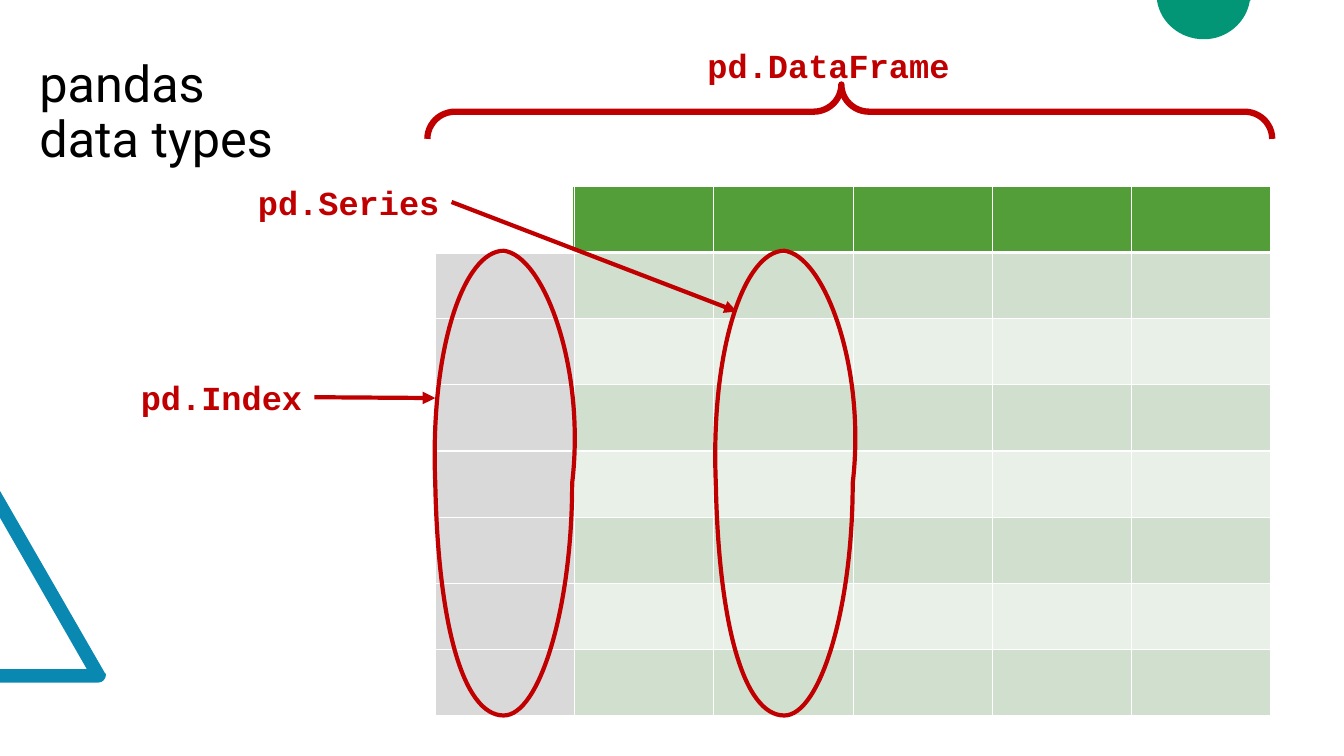
from lxml.etree import SubElement
from pptx import Presentation
from pptx.dml.color import RGBColor
from pptx.enum.shapes import MSO_CONNECTOR, MSO_SHAPE
from pptx.enum.text import MSO_ANCHOR, MSO_AUTO_SIZE, PP_ALIGN
from pptx.oxml.ns import qn
from pptx.util import Cm, Pt

BLACK = RGBColor(0x00, 0x00, 0x00)
WHITE = RGBColor(0xFF, 0xFF, 0xFF)
RED = RGBColor(0xC0, 0x00, 0x00)
BLUE = RGBColor(0x09, 0x89, 0xB1)
TEAL = RGBColor(0x02, 0x96, 0x76)
HEADER_GREEN = RGBColor(0x54, 0x9E, 0x39)
INDEX_GREY = RGBColor(0xD9, 0xD9, 0xD9)
BANDS = (RGBColor(0xE9, 0xF0, 0xE8), RGBColor(0xD1, 0xDF, 0xCE))

ROWS, COLUMNS = 8, 6
TABLE_WIDTH, TABLE_HEIGHT = 21.06, 13.33

TRIANGLE = [
    [(0, 1)], [(0, 0.93)], [(0.82, 0.93)], [(0, 0.14)], [(0, 0)], [(0.99, 0.95)],
    [(1, 0.95), (1, 0.96), (1, 0.96)],
    [(1, 0.98), (0.97, 1), (0.93, 1)],
]
DISC = [
    [(0, 0)], [(1, 0)], [(0.99, 0.03)],
    [(0.95, 0.59), (0.74, 1), (0.5, 1)],
    [(0.25, 1), (0.04, 0.59), (0, 0.03)],
]
RING = [
    [(0, 0.5)],
    [(-0.04, 0.21), (0.21, 0), (0.5, 0)],
    [(0.79, 0.01), (1.1, 0.25), (1, 0.5)],
    [(1, 0.77), (0.76, 1), (0.5, 1)],
    [(0.2, 1), (0.02, 0.8), (0, 0.5)],
]


def add_outline(slide, segments, left, top, width, height):
    corners = [segment[-1] for segment in segments]
    points = [(Cm(left + x * width), Cm(top + y * height)) for x, y in corners]
    builder = slide.shapes.build_freeform(*points[0])
    builder.add_line_segments(points[1:], close=True)
    outline = builder.convert_to_shape()
    outline.shadow.inherit = False
    edges = list(outline._element.iter(qn("a:lnTo")))
    for edge, segment in zip(edges, segments[1:]):
        if len(segment) == 3:
            edge.tag = qn("a:cubicBezTo")
            for position, (x, y) in enumerate(segment[:2]):
                control = SubElement(
                    edge, qn("a:pt"), x=str(Cm(x * width)), y=str(Cm(y * height)))
                edge.insert(position, control)
    return outline


def add_decoration(slide, segments, color, left, top, width, height):
    decoration = add_outline(slide, segments, left, top, width, height)
    decoration.fill.solid()
    decoration.fill.fore_color.rgb = color
    decoration.line.fill.background()


def add_ring(slide, left, top, width, height):
    ring = add_outline(slide, RING, left, top, width, height)
    ring.fill.background()
    ring.line.color.rgb = RED
    ring.line.width = Pt(3)


def place_title(slide, left, top, width, height):
    title = slide.shapes.title
    title.left, title.top, title.width, title.height = map(Cm, (left, top, width, height))
    frame = title.text_frame
    frame.text = "pandas data types"
    frame.word_wrap = True
    frame.auto_size = MSO_AUTO_SIZE.NONE
    frame.vertical_anchor = MSO_ANCHOR.MIDDLE
    paragraph = frame.paragraphs[0]
    paragraph.alignment = PP_ALIGN.LEFT
    paragraph.line_spacing = 0.9
    font = paragraph.runs[0].font
    font.name, font.size = "Roboto", Pt(36)
    font.color.rgb = BLACK


def add_borders(cell, top_width, bottom_width):
    properties = cell._tc.get_or_add_tcPr()
    for side, width in (("L", 1), ("R", 1), ("T", top_width), ("B", bottom_width)):
        border = SubElement(properties, qn(f"a:ln{side}"), w=str(Pt(width)))
        fill = SubElement(border, qn("a:solidFill"))
        SubElement(fill, qn("a:srgbClr"), val=str(WHITE))


def cell_color(row, column):
    if row == 0:
        return HEADER_GREEN
    return INDEX_GREY if column == 0 else BANDS[row % 2]


def add_data_frame(slide, left, top):
    grid = slide.shapes.add_table(
        ROWS, COLUMNS, Cm(left), Cm(top), Cm(TABLE_WIDTH), Cm(TABLE_HEIGHT)).table
    for column in grid.columns:
        column.width = Cm(TABLE_WIDTH / COLUMNS)
    for row in grid.rows:
        row.height = Cm(TABLE_HEIGHT / ROWS)
    for row in range(ROWS):
        for column in range(COLUMNS):
            cell = grid.cell(row, column)
            add_borders(cell, 3 if row == 1 else 1, 3 if row == 0 else 1)
            cell.fill.solid()
            cell.fill.fore_color.rgb = cell_color(row, column)

    corner = slide.shapes.add_shape(
        MSO_SHAPE.RECTANGLE, Cm(left - 0.63), Cm(top - 0.76), Cm(4.09), Cm(2.36))
    corner.shadow.inherit = False
    corner.fill.solid()
    corner.fill.fore_color.rgb = WHITE
    corner.line.color.rgb = WHITE
    corner.line.width = Pt(1)

    for offset in (0, 7.07):
        add_ring(slide, left + offset, top + 1.62, 3.45, 11.71)


def add_label(slide, wording, left, top, width):
    label = slide.shapes.add_textbox(Cm(left), Cm(top), Cm(width), Cm(1.28))
    frame = label.text_frame
    frame.text = wording
    frame.word_wrap = False
    frame.auto_size = MSO_AUTO_SIZE.SHAPE_TO_FIT_TEXT
    font = frame.paragraphs[0].runs[0].font
    font.name, font.size, font.bold = "Courier New", Pt(24), True
    font.color.rgb = RED
    return label


def add_pointer(slide, label, end_x, end_y):
    pointer = slide.shapes.add_connector(
        MSO_CONNECTOR.STRAIGHT, label.left + label.width,
        label.top + label.height // 2, Cm(end_x), Cm(end_y))
    pointer.begin_connect(label, 3)
    pointer.line.color.rgb = RED
    pointer.line.width = Pt(3)
    SubElement(pointer.line._get_or_add_ln(), qn("a:tailEnd"), type="triangle")
    SubElement(pointer._element.spPr, qn("a:effectLst"))


def add_brace(slide, left, top, width, height):
    brace = slide.shapes.add_shape(
        MSO_SHAPE.LEFT_BRACE, Cm(left + (width - height) / 2),
        Cm(top + (height - width) / 2), Cm(height), Cm(width))
    brace.rotation = 90
    brace.adjustments[0] = brace.adjustments[1] = 0.51
    brace.shadow.inherit = False
    brace.fill.background()
    brace.line.color.rgb = RED
    brace.line.width = Pt(4.5)


def build_data_types_slide(deck):
    slide = deck.slides.add_slide(deck.slide_layouts[5])
    add_decoration(slide, TRIANGLE, BLUE, 0, 12.37, 2.67, 4.83)
    add_decoration(slide, DISC, TEAL, 29.16, 0, 2.36, 0.99)
    place_title(slide, 0.74, 0.64, 6.65, 4.45)
    add_data_frame(slide, 10.97, 4.7)
    add_label(slide, "pd.DataFrame", 17.58, 1, 6.65)
    add_brace(slide, 10.77, 2.13, 21.29, 1.37)
    index_label = add_label(slide, "pd.Index", 3.3, 9.37, 4.62)
    add_pointer(slide, index_label, 10.97, 10.03)
    series_label = add_label(slide, "pd.Series", 6.25, 4.45, 5.13)
    add_pointer(slide, series_label, 18.57, 7.85)


def main():
    deck = Presentation()
    deck.slide_width, deck.slide_height = Cm(33.87), Cm(19.05)
    build_data_types_slide(deck)
    deck.save("out.pptx")


if __name__ == "__main__":
    main()
